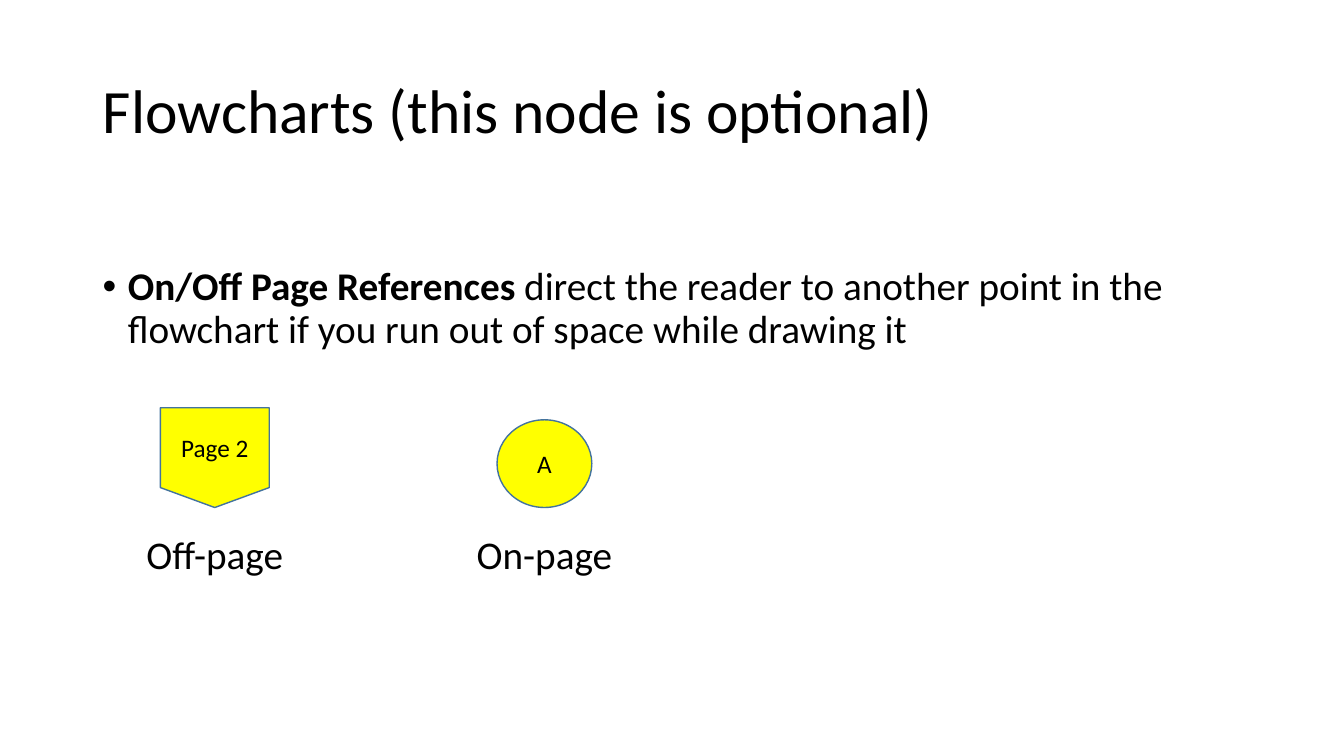
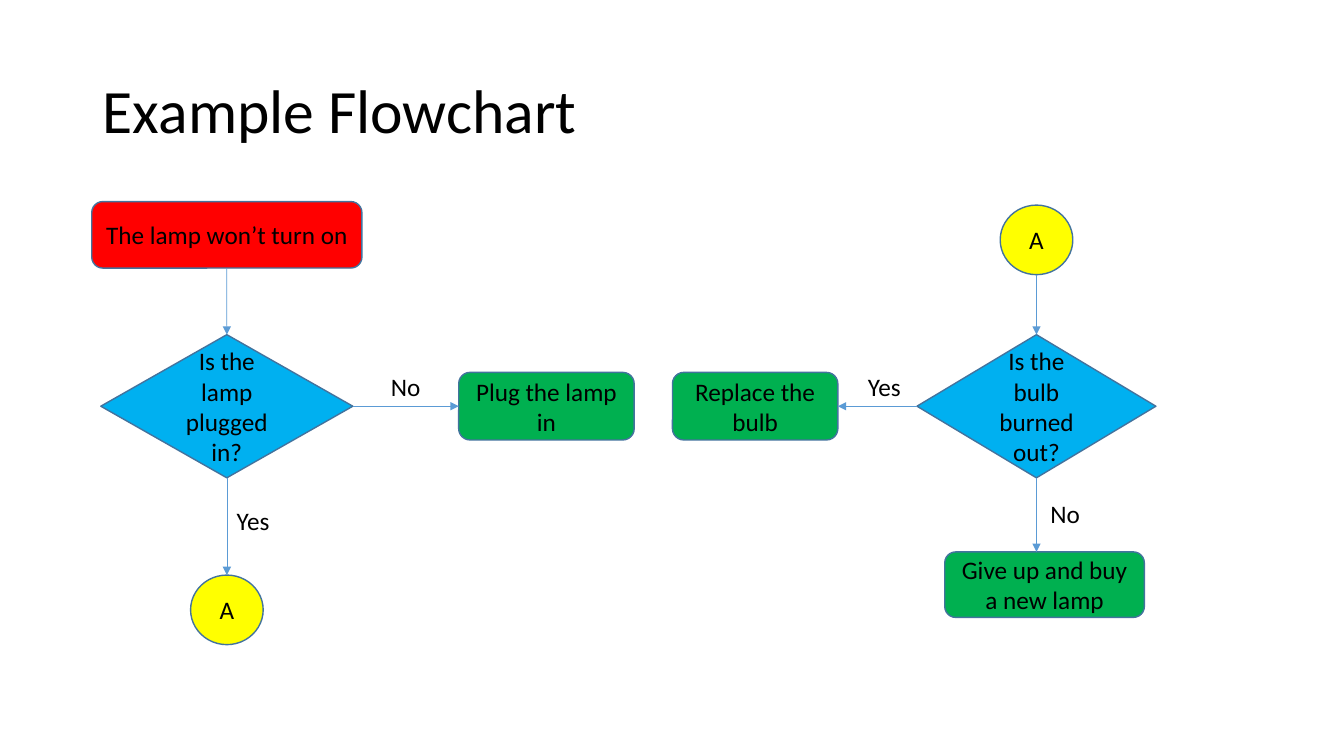
from dataclasses import dataclass

from lxml import etree
from pptx import Presentation
from pptx.dml.color import RGBColor
from pptx.enum.shapes import MSO_CONNECTOR, MSO_SHAPE
from pptx.enum.text import MSO_ANCHOR, MSO_AUTO_SIZE, PP_ALIGN
from pptx.oxml.ns import qn
from pptx.util import Inches, Pt

COLORS = {
    "text": "000000",
    "outline": "43739E",
    "arrow": "5B9BD5",
    "start": "FF0000",
    "decision": "00B0F0",
    "action": "00B050",
    "reference": "FFFF00",
}
FONT = "Calibri"
TITLE_ONLY = 5
TOP, LEFT, BOTTOM, RIGHT = range(4)

OFF_PAGE = MSO_SHAPE.FLOWCHART_OFFPAGE_CONNECTOR
CIRCLE = MSO_SHAPE.FLOWCHART_CONNECTOR
DIAMOND = MSO_SHAPE.FLOWCHART_DECISION
PROCESS = MSO_SHAPE.FLOWCHART_ALTERNATE_PROCESS
ROUNDED = MSO_SHAPE.ROUNDED_RECTANGLE
STRAIGHT = MSO_CONNECTOR.STRAIGHT
CENTER, ALIGN_LEFT = PP_ALIGN.CENTER, PP_ALIGN.LEFT
MIDDLE = MSO_ANCHOR.MIDDLE
NO_AUTOFIT, FIT_SHAPE = MSO_AUTO_SIZE.NONE, MSO_AUTO_SIZE.SHAPE_TO_FIT_TEXT


@dataclass(frozen=True)
class Node:
    """A flowchart symbol, placed by its centre in inches."""
    kind: MSO_SHAPE
    text: str
    x: float
    y: float
    w: float
    h: float
    fill: str


@dataclass(frozen=True)
class Link:
    start: str
    start_side: int
    end: str
    end_side: int
    join_start: bool = True
    join_end: bool = True


@dataclass(frozen=True)
class Label:
    text: str
    left: float
    top: float
    width: float


LEFT_X, RIGHT_X, DECISION_Y = 2.25, 10.28, 4.03

REFERENCES = {
    "Off-page": Node(OFF_PAGE, "Page 2", 2.13, 4.54, 1.08, 0.99, "reference"),
    "On-page": Node(CIRCLE, "A", 5.4, 4.6, 0.94, 0.87, "reference"),
}

NODES = {
    "lamp": Node(ROUNDED, "The lamp won’t turn on", LEFT_X, 2.33, 2.68, 0.66, "start"),
    "plugged": Node(DIAMOND, "Is the lamp plugged in?", LEFT_X, DECISION_Y, 2.5, 1.42, "decision"),
    "plug": Node(PROCESS, "Plug the lamp in", 5.42, DECISION_Y, 1.74, 0.67, "action"),
    "to_a": Node(CIRCLE, "A", LEFT_X, 6.05, 0.72, 0.69, "reference"),
    "from_a": Node(CIRCLE, "A", RIGHT_X, 2.38, 0.72, 0.69, "reference"),
    "burned": Node(DIAMOND, "Is the bulb burned out?", RIGHT_X, DECISION_Y, 2.37, 1.42, "decision"),
    "replace": Node(ROUNDED, "Replace the bulb", 7.49, DECISION_Y, 1.64, 0.67, "action"),
    "give_up": Node(ROUNDED, "Give up and buy a new lamp", 10.36, 5.8, 1.98, 0.65, "action"),
}

LINKS = [
    Link("lamp", BOTTOM, "plugged", TOP),
    Link("plugged", RIGHT, "plug", LEFT),
    Link("plugged", BOTTOM, "to_a", TOP),
    Link("from_a", BOTTOM, "burned", TOP, join_start=False),
    Link("burned", LEFT, "replace", RIGHT),
    Link("burned", BOTTOM, "give_up", TOP, join_end=False),
]

LABELS = [
    Label("No", 3.78, 3.63, 0.5),
    Label("Yes", 8.51, 3.63, 0.53),
    Label("Yes", 2.25, 4.96, 0.53),
    Label("No", 10.32, 4.89, 0.5),
]


def rgb(name: str) -> RGBColor:
    return RGBColor.from_string(COLORS[name])


def format_text(tf, size: float, align=ALIGN_LEFT, line_spacing: float = 1.0) -> None:
    for p in tf.paragraphs:
        p.alignment = align
        p.line_spacing = line_spacing
        for r in p.runs:
            r.font.name = FONT
            r.font.size = Pt(size)
            r.font.color.rgb = rgb("text")


def add_title_slide(prs, title: str):
    s = prs.slides.add_slide(prs.slide_layouts[TITLE_ONLY])
    sp = s.shapes.title
    sp.left, sp.top = Inches(0.92), Inches(0.4)
    sp.width, sp.height = Inches(11.5), Inches(1.45)
    tf = sp.text_frame
    tf.text = title
    tf.auto_size = NO_AUTOFIT
    tf.vertical_anchor = MIDDLE
    format_text(tf, 44, line_spacing=0.9)
    return s


def add_text(s, left: float, top: float, width: float, height: float, text: str = ""):
    tf = s.shapes.add_textbox(Inches(left), Inches(top), Inches(width), Inches(height)).text_frame
    tf.word_wrap = True
    tf.text = text
    return tf


def add_node(s, node: Node):
    sp = s.shapes.add_shape(node.kind, Inches(node.x - node.w / 2), Inches(node.y - node.h / 2),
                            Inches(node.w), Inches(node.h))
    sp.shadow.inherit = False
    sp.fill.solid()
    sp.fill.fore_color.rgb = rgb(node.fill)
    sp.line.color.rgb = rgb("outline")
    sp.line.width = Pt(1)
    tf = sp.text_frame
    tf.text = node.text
    tf.word_wrap = True
    tf.vertical_anchor = MIDDLE
    format_text(tf, 18, CENTER)
    return sp


def side_point(node: Node, side: int) -> tuple[float, float]:
    dx, dy = {TOP: (0, -1), LEFT: (-1, 0), BOTTOM: (0, 1), RIGHT: (1, 0)}[side]
    return node.x + dx * node.w / 2, node.y + dy * node.h / 2


def add_link(s, link: Link, shapes: dict) -> None:
    """Draw a level or upright arrow, lined up with its start."""
    x1, y1 = side_point(NODES[link.start], link.start_side)
    x2, y2 = side_point(NODES[link.end], link.end_side)
    if link.start_side in (TOP, BOTTOM):
        x2 = x1
    else:
        y2 = y1
    c = s.shapes.add_connector(STRAIGHT, Inches(x1), Inches(y1), Inches(x2), Inches(y2))
    if link.join_start:
        c.begin_connect(shapes[link.start], link.start_side)
    if link.join_end:
        c.end_connect(shapes[link.end], link.end_side)
    c.line.color.rgb = rgb("arrow")
    c.line.width = Pt(0.5)
    etree.SubElement(c.line._get_or_add_ln(), qn("a:tailEnd"), type="triangle")
    etree.SubElement(c._element.spPr, qn("a:effectLst"))


def add_label(s, label: Label) -> None:
    tf = add_text(s, label.left, label.top, label.width, 0.4, label.text)
    tf.word_wrap = False
    tf.auto_size = FIT_SHAPE
    format_text(tf, 18)


def add_bullet(p) -> None:
    pPr = p._p.get_or_add_pPr()
    pPr.set("marL", str(Inches(0.25)))
    pPr.set("indent", str(-Inches(0.25)))
    etree.SubElement(pPr, qn("a:buFont"), typeface="Arial")
    etree.SubElement(pPr, qn("a:buChar"), char="•")


def build_references(prs) -> None:
    s = add_title_slide(prs, "Flowcharts (this node is optional)")
    tf = add_text(s, 0.92, 2.6, 11.5, 1)
    p = tf.paragraphs[0]
    for text, bold in (
        ("On/Off Page References ", True),
        ("direct the reader to another point in the flowchart "
         "if you run out of space while drawing it", False),
    ):
        r = p.add_run()
        r.text = text
        r.font.bold = bold
    format_text(tf, 28, line_spacing=0.9)
    add_bullet(p)

    caption_width = 2
    for caption, node in REFERENCES.items():
        add_node(s, node)
        tf = add_text(s, node.x - caption_width / 2, 5.26, caption_width, 0.55, caption)
        format_text(tf, 28, CENTER, 0.9)


def build_example(prs) -> None:
    s = add_title_slide(prs, "Example Flowchart")
    shapes = {name: add_node(s, node) for name, node in NODES.items()}
    for link in LINKS:
        add_link(s, link, shapes)
    for label in LABELS:
        add_label(s, label)


def main() -> None:
    prs = Presentation()
    prs.slide_width, prs.slide_height = Inches(13.33), Inches(7.5)
    build_references(prs)
    build_example(prs)
    prs.save("out.pptx")


if __name__ == "__main__":
    main()
